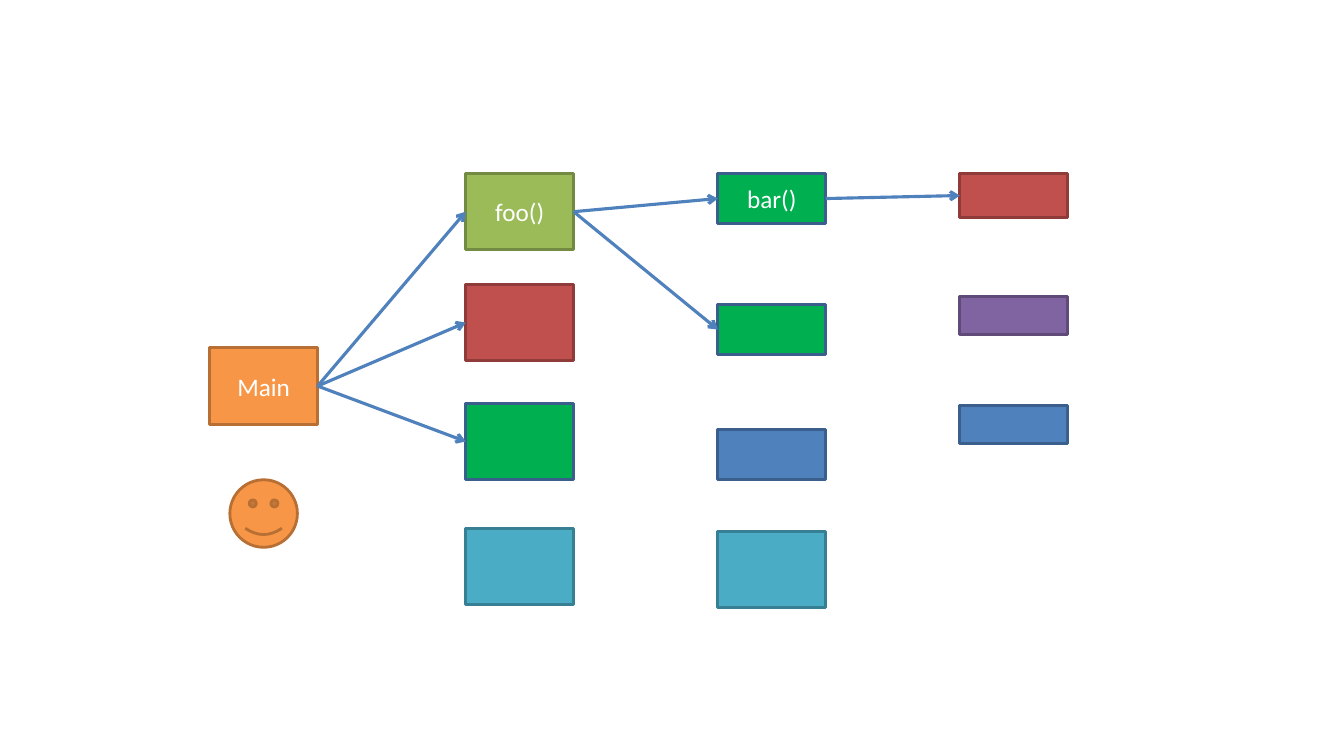
from pptx import Presentation
from pptx.dml.color import RGBColor
from pptx.enum.shapes import MSO_CONNECTOR as Connector, MSO_SHAPE as Preset
from pptx.enum.text import MSO_ANCHOR as Anchor, PP_ALIGN as Align
from pptx.oxml.ns import qn
from pptx.util import Inches, Pt
from lxml.etree import SubElement

WHITE = RGBColor(0xFF, 0xFF, 0xFF)
NAVY = RGBColor(0x3A, 0x5F, 0x8C)
BLUE = RGBColor(0x4F, 0x81, 0xBD)
ORANGE = (RGBColor(0xF7, 0x96, 0x46), RGBColor(0xB7, 0x6F, 0x34))
RED = (RGBColor(0xC0, 0x50, 0x4D), RGBColor(0x8E, 0x3B, 0x39))
OLIVE = (RGBColor(0x9B, 0xBB, 0x59), RGBColor(0x73, 0x8A, 0x42))
PURPLE = (RGBColor(0x80, 0x64, 0xA2), RGBColor(0x5F, 0x4A, 0x78))
TEAL = (RGBColor(0x4B, 0xAC, 0xC6), RGBColor(0x37, 0x7F, 0x92))
GREEN = (RGBColor(0x00, 0xB0, 0x50), NAVY)
STEEL = (BLUE, NAVY)

COLUMNS = (2.08, 4.62, 7.12, 9.52)
BOX_WIDTH = 1.07
TALL, MEDIUM, SHORT, LOW = 0.76, 0.5, 0.44, 0.38
TOP_ROW = 1.72
SMILEY_SIZE = 0.67
TOP, LEFT, BOTTOM, RIGHT = range(4)

CALLS = (
    ("main", 0, 3.45, TALL, ORANGE, "Main"),
    ("foo", 1, TOP_ROW, TALL, OLIVE, "foo()"),
    ("main red", 1, 2.82, TALL, RED, ""),
    ("main green", 1, 4, TALL, GREEN, ""),
    ("main teal", 1, 5.24, TALL, TEAL, ""),
    ("bar", 2, TOP_ROW, MEDIUM, GREEN, "bar()"),
    ("foo green", 2, 3.02, MEDIUM, GREEN, ""),
    ("foo blue", 2, 4.26, MEDIUM, STEEL, ""),
    ("foo teal", 2, 5.27, TALL, TEAL, ""),
    ("bar red", 3, TOP_ROW, SHORT, RED, ""),
    ("bar purple", 3, 2.94, LOW, PURPLE, ""),
    ("bar blue", 3, 4.02, LOW, STEEL, ""),
)
ARROWS = (
    ("main", "foo"),
    ("main", "main red"),
    ("main", "main green"),
    ("foo", "bar"),
    ("foo", "foo green"),
    ("bar", "bar red"),
)


def add_figure(page, preset, left, top, width, height, colours):
    figure = page.shapes.add_shape(
        preset, Inches(left), Inches(top), Inches(width), Inches(height))
    fill, outline = colours
    figure.shadow.inherit = False
    figure.fill.solid()
    figure.fill.fore_color.rgb = fill
    figure.line.color.rgb = outline
    figure.line.width = Pt(2)
    return figure


def add_label(box, text):
    box.text_frame.vertical_anchor = Anchor.MIDDLE
    para = box.text_frame.paragraphs[0]
    para.alignment = Align.CENTER
    span = para.add_run()
    span.text = text
    span.font.name = "Calibri"
    span.font.size = Pt(18)
    span.font.color.rgb = WHITE


def add_call(page, column, top, height, colours, text):
    box = add_figure(page, Preset.RECTANGLE, COLUMNS[column], top,
                     BOX_WIDTH, height, colours)
    if text:
        add_label(box, text)
    return box


def add_arrow(page, caller, callee):
    arrow = page.shapes.add_connector(Connector.STRAIGHT, 0, 0, 0, 0)
    arrow.begin_connect(caller, RIGHT)
    arrow.end_connect(callee, LEFT)
    arrow.line.color.rgb = BLUE
    arrow.line.width = Pt(2.25)
    SubElement(arrow.line._get_or_add_ln(), qn("a:tailEnd"), type="arrow")
    SubElement(arrow._element.spPr, qn("a:effectLst"))


def add_smiley(page):
    left = COLUMNS[0] + (BOX_WIDTH - SMILEY_SIZE) / 2
    add_figure(page, Preset.SMILEY_FACE, left, 4.76,
               SMILEY_SIZE, SMILEY_SIZE, ORANGE)


def main():
    deck = Presentation()
    deck.slide_width, deck.slide_height = Inches(13.33), Inches(7.5)
    page = deck.slides.add_slide(deck.slide_layouts[6])
    boxes = {name: add_call(page, *call) for name, *call in CALLS}
    for caller, callee in ARROWS:
        add_arrow(page, boxes[caller], boxes[callee])
    add_smiley(page)
    deck.save("out.pptx")


if __name__ == "__main__":
    main()
